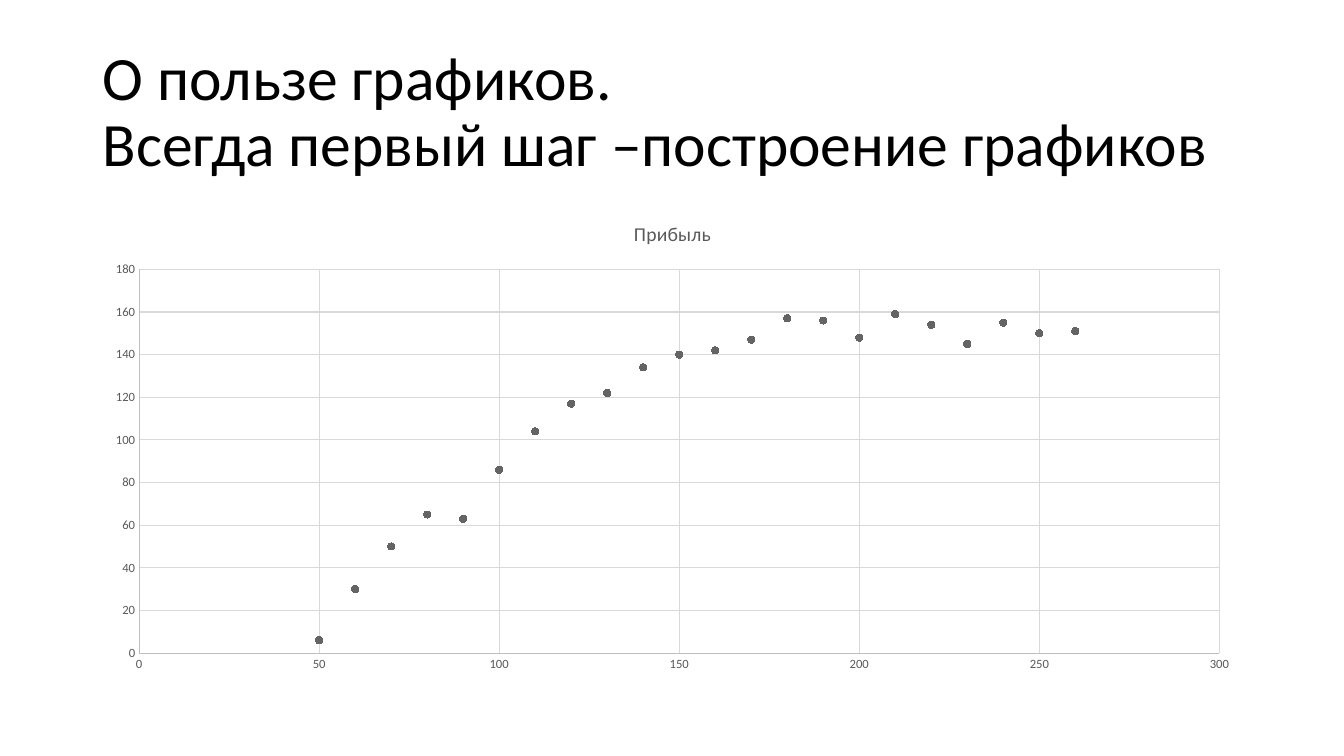
from dataclasses import dataclass

from pptx import Presentation
from pptx.chart.data import XyChartData
from pptx.dml.color import RGBColor as Rgb
from pptx.enum.chart import XL_CHART_TYPE as Kind
from pptx.enum.chart import XL_MARKER_STYLE as Mark
from pptx.enum.chart import XL_TICK_LABEL_POSITION as Label
from pptx.enum.chart import XL_TICK_MARK as Tick
from pptx.enum.text import MSO_ANCHOR as Anchor
from pptx.enum.text import PP_ALIGN as Align
from pptx.util import Emu, Pt

PX = 9144


@dataclass(frozen=True)
class Theme:
    face: str = "Calibri"
    ink: str = "000000"
    label: str = "595959"
    axis: str = "BFBFBF"
    grid: str = "D9D9D9"
    dot: str = "646464"
    head: int = 44
    title: int = 14
    base: int = 10
    tick: int = 9
    rule: float = 0.75


THEME = Theme()
SIZE = (1333, 750)
HEAD = (92, 40, 1150, 145)
PLOT = (92, 200, 1150, 476)
NAME = "Прибыль"
POINTS = [
    (160, 142), (60, 30), (70, 50), (200, 148), (240, 155), (100, 86),
    (170, 147), (180, 157), (130, 122), (210, 159), (150, 140), (50, 6),
    (110, 104), (120, 117), (190, 156), (80, 65), (140, 134), (220, 154),
    (230, 145), (90, 63), (260, 151), (250, 150),
]


def scale(box):
    return [Emu(n * PX) for n in box]


def apply(item, **form):
    for key, value in form.items():
        setattr(item, key, value)


def style(font, size, color):
    apply(font, name=THEME.face, size=Pt(size), bold=False)
    font.color.rgb = Rgb.from_string(color)


def stroke(line, color):
    line.width = Pt(THEME.rule)
    line.color.rgb = Rgb.from_string(color)


def add_head(slide, box):
    frame = slide.shapes.add_textbox(*scale(box)).text_frame
    apply(frame, word_wrap=True, vertical_anchor=Anchor.MIDDLE)
    para = frame.paragraphs[0]
    para.text = "О пользе графиков. \vВсегда первый шаг –построение графиков"
    apply(para, line_spacing=0.9, alignment=Align.LEFT)
    style(para.font, THEME.head, THEME.ink)


def set_axis(axis, top, step):
    apply(axis, minimum_scale=0, maximum_scale=top, major_unit=step,
          has_major_gridlines=True, has_minor_gridlines=False,
          major_tick_mark=Tick.NONE, minor_tick_mark=Tick.NONE,
          tick_label_position=Label.NEXT_TO_AXIS)
    style(axis.tick_labels.font, THEME.tick, THEME.label)
    stroke(axis.format.line, THEME.axis)
    stroke(axis.major_gridlines.format.line, THEME.grid)


def add_plot(slide, box):
    data = XyChartData()
    row = data.add_series(NAME)
    for x, y in POINTS:
        row.add_data_point(x, y)
    chart = slide.shapes.add_chart(Kind.XY_SCATTER, *scale(box), data).chart
    apply(chart, has_legend=False, has_title=True)
    style(chart.font, THEME.base, THEME.ink)
    title = chart.chart_title
    title.include_in_layout = False
    title.text_frame.text = NAME
    style(title.text_frame.paragraphs[0].runs[0].font, THEME.title, THEME.label)
    set_axis(chart.category_axis, 300, 50)
    set_axis(chart.value_axis, 180, 20)
    plot = chart.plots[0]
    plot.vary_by_categories = False
    dots = plot.series[0]
    dots.format.line.fill.background()
    mark = dots.marker
    apply(mark, style=Mark.CIRCLE, size=5)
    mark.format.fill.solid()
    mark.format.fill.fore_color.rgb = Rgb.from_string(THEME.dot)
    stroke(mark.format.line, THEME.dot)


def main():
    deck = Presentation()
    deck.slide_width, deck.slide_height = scale(SIZE)
    slide = deck.slides.add_slide(deck.slide_layouts[6])
    add_head(slide, HEAD)
    add_plot(slide, PLOT)
    deck.save("out.pptx")


if __name__ == "__main__":
    main()
